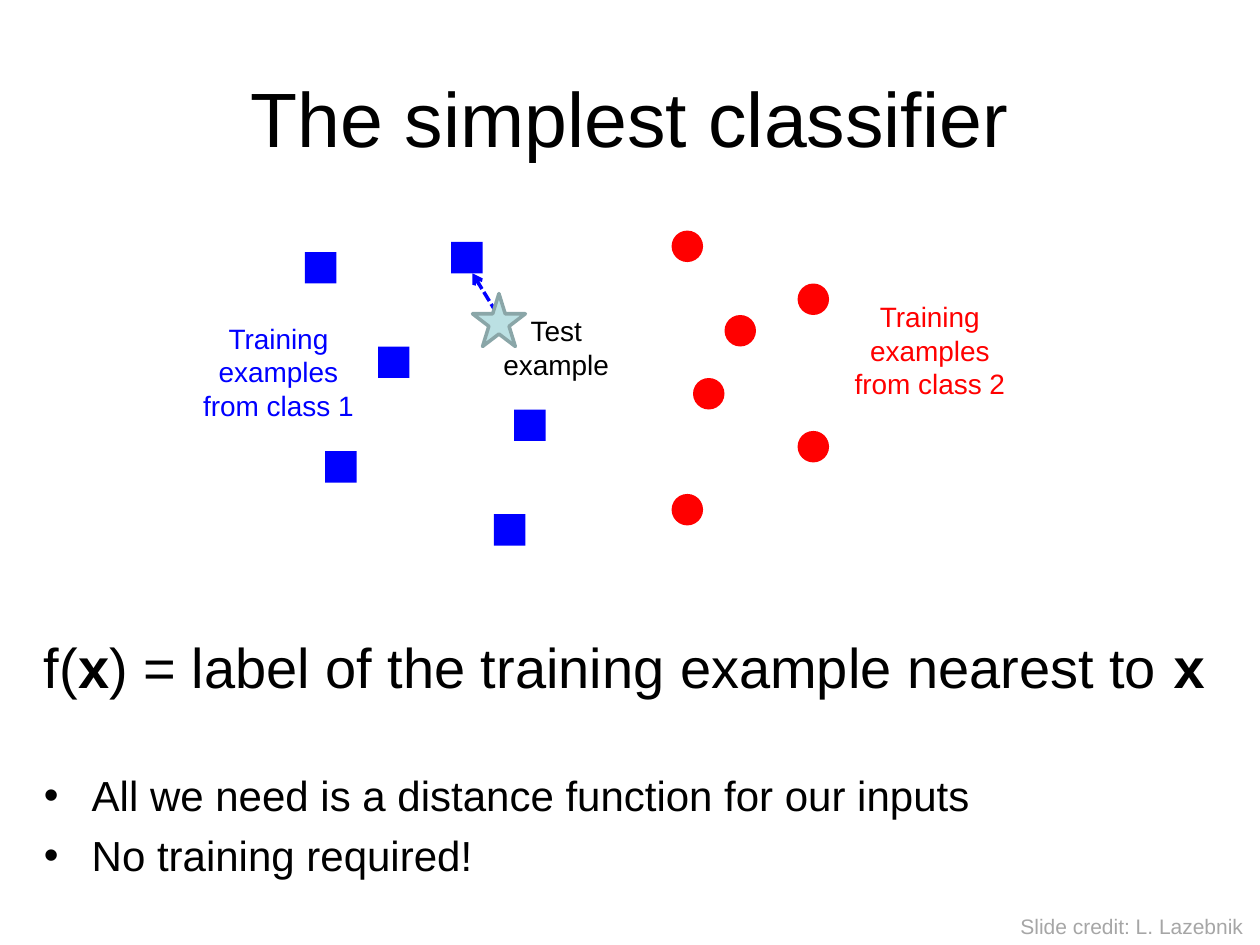
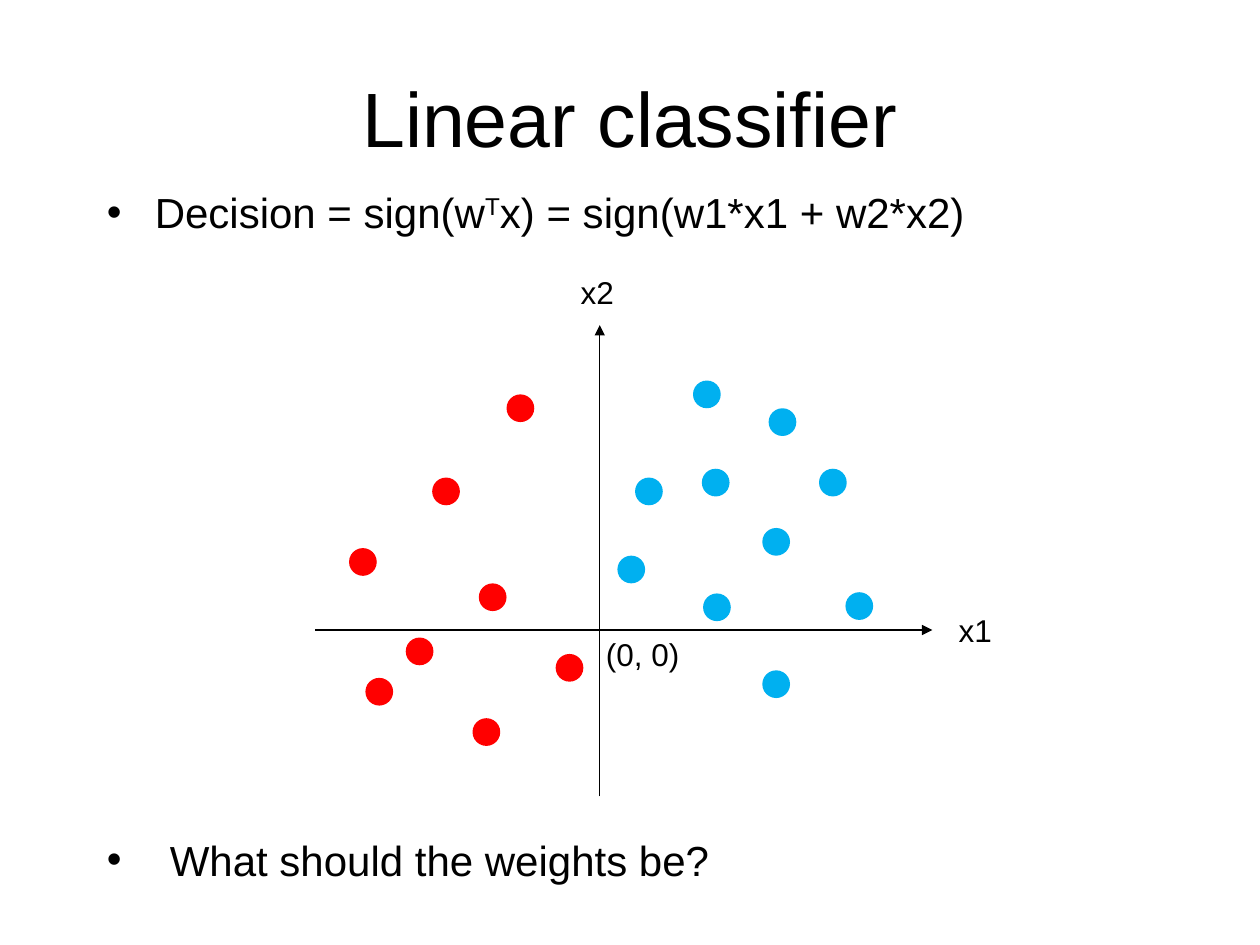
from dataclasses import dataclass

from lxml.etree import SubElement
from pptx import Presentation
from pptx.dml.color import RGBColor
from pptx.enum.dml import MSO_LINE_DASH_STYLE as Dash
from pptx.enum.shapes import MSO_CONNECTOR as Link, MSO_SHAPE as Form
from pptx.enum.text import MSO_ANCHOR as Anchor, PP_ALIGN as Align
from pptx.oxml.ns import qn
from pptx.slide import Slide
from pptx.util import Inches, Pt

FONT = "Arial"
BLACK = RGBColor(0x00, 0x00, 0x00)
BLUE = RGBColor(0x00, 0x00, 0xFF)
RED = RGBColor(0xFF, 0x00, 0x00)
SKY = RGBColor(0x00, 0xB0, 0xF0)
GRAY = RGBColor(0xA6, 0xA6, 0xA6)
PALE = RGBColor(0xBB, 0xE0, 0xE3)
TEAL = RGBColor(0x8A, 0xA6, 0xA8)

Point = tuple[float, float]
Box = tuple[float, float, float, float]


@dataclass
class Span:
    text: str
    bold: bool = False
    lift: bool = False


@dataclass
class Para:
    spans: list[Span]
    size: float
    bullet: bool = False
    hang: float = 0
    before: float = 0


@dataclass
class Label:
    text: str
    box: Box
    size: float = 18
    color: RGBColor = BLACK
    align: Align = Align.LEFT
    wrap: bool = False
    anchor: Anchor = Anchor.TOP


@dataclass
class Cluster:
    form: Form
    color: RGBColor
    size: float
    spots: list[Point]


@dataclass
class Arrow:
    start: Point
    end: Point
    color: RGBColor = BLACK
    width: float = 0.75
    head: str = "triangle"
    dash: Dash | None = None


SQUARES = Cluster(Form.RECTANGLE, BLUE, 0.25, [
    (2.42, 2), (3, 2.75), (3.58, 1.92), (2.58, 3.58), (4.08, 3.25), (3.92, 4.08)])
CIRCLES = Cluster(Form.OVAL, RED, 0.25, [
    (6.33, 2.25), (5.5, 3), (6.33, 3.42), (5.33, 1.83), (5.75, 2.5), (5.33, 3.92)])
NEAREST = Arrow((4, 2.58), (3.75, 2.17), BLUE, 2, "arrow", Dash.SQUARE_DOT)
CLASS_LABELS = [
    Label("Test example", (3.83, 2.44, 1.17, 0.64), 16, BLACK, Align.CENTER, True),
    Label("Training examples from class 1", (1.5, 2.5, 1.42, 0.91), 16, BLUE,
          Align.CENTER, True),
    Label("Training examples from class 2", (6.67, 2.33, 1.42, 0.91), 16, RED,
          Align.CENTER, True),
]
CREDIT = Label("Slide credit: L. Lazebnik", (8, 7.2, 1.98, 0.3), 12, GRAY)
RULE = [
    Para([Span("f("), Span("x", bold=True),
          Span(") = label of the training example nearest to "),
          Span("x", bold=True)], 32, hang=0.38),
    Para([Span("All we need is a distance function for our inputs")],
         24, True, 0.38, before=40),
    Para([Span("No training required!")], 24, True, 0.38, before=5.5),
]

LEFT_DOTS = Cluster(Form.OVAL, RED, 0.22, [
    (2.9, 5.38), (3.22, 5.06), (3.75, 5.7), (3.8, 4.63),
    (2.77, 4.35), (3.43, 3.79), (4.02, 3.13), (4.41, 5.19)])
RIGHT_DOTS = Cluster(Form.OVAL, SKY, 0.22, [
    (5.04, 3.79), (4.9, 4.41), (5.5, 3.02), (5.57, 3.72), (6.1, 3.24),
    (6.5, 3.72), (6.05, 4.19), (5.58, 4.71), (6.71, 4.7), (6.05, 5.32)])
AXES = [Arrow((2.5, 5), (7.4, 5)), Arrow((4.76, 6.32), (4.76, 2.58))]
AXIS_LABELS = [
    Label("x1", (7.51, 4.8, 0.47, 0.4)),
    Label("x2", (4.51, 2.12, 0.47, 0.4)),
    Label("(0, 0)", (4.71, 4.99, 0.79, 0.4)),
]
DECISION = Para([Span("Decision = sign(w"), Span("T", lift=True),
                 Span("x) = sign(w1*x1 + w2*x2)")], 24, True, 0.38)
QUESTION = Para([Span("What should the weights be?")], 24, True, 0.5)


def style(run, size: float, color: RGBColor = BLACK) -> None:
    run.font.name = FONT
    run.font.size = Pt(size)
    run.font.color.rgb = color


def add_label(slide: Slide, label: Label) -> None:
    frame = slide.shapes.add_textbox(*map(Inches, label.box)).text_frame
    frame.word_wrap = label.wrap
    frame.vertical_anchor = label.anchor
    frame.text = label.text
    para = frame.paragraphs[0]
    para.alignment = label.align
    style(para.runs[0], label.size, label.color)


def add_title(slide: Slide, text: str) -> None:
    add_label(slide, Label(text, (0.5, 0.3, 9, 1.25), 44, BLACK,
                           Align.CENTER, True, Anchor.MIDDLE))


def add_body(slide: Slide, box: Box, paras: list[Para], top: float = 0.1) -> None:
    """Add hanging paragraphs; top is the inset above the first line."""
    frame = slide.shapes.add_textbox(*map(Inches, box)).text_frame
    frame.word_wrap = True
    frame.margin_top = Inches(top)
    for index, item in enumerate(paras):
        para = frame.add_paragraph() if index else frame.paragraphs[0]
        props = para._p.get_or_add_pPr()
        props.set("marL", str(Inches(item.hang)))
        props.set("indent", str(-Inches(item.hang)))
        if item.bullet:
            SubElement(props, qn("a:buFont"), typeface=FONT)
            SubElement(props, qn("a:buChar"), char="•")
        if item.before:
            para.space_before = Pt(item.before)
        for span in item.spans:
            run = para.add_run()
            run.text = span.text
            style(run, item.size)
            run.font.bold = span.bold
            if span.lift:
                run._r.get_or_add_rPr().set("baseline", "30000")


def add_mark(slide: Slide, form: Form, spot: Point, size: float, fill: RGBColor):
    shape = slide.shapes.add_shape(form, *map(Inches, (*spot, size, size)))
    shape.shadow.inherit = False
    shape.fill.solid()
    shape.fill.fore_color.rgb = fill
    shape.line.fill.background()
    return shape


def add_cluster(slide: Slide, cluster: Cluster) -> None:
    for spot in cluster.spots:
        add_mark(slide, cluster.form, spot, cluster.size, cluster.color)


def add_arrow(slide: Slide, arrow: Arrow) -> None:
    ends = map(Inches, (*arrow.start, *arrow.end))
    link = slide.shapes.add_connector(Link.STRAIGHT, *ends)
    link.line.color.rgb = arrow.color
    link.line.width = Pt(arrow.width)
    if arrow.dash is not None:
        link.line.dash_style = arrow.dash
    SubElement(link.line._get_or_add_ln(), qn("a:tailEnd"), type=arrow.head)
    SubElement(link._element.spPr, qn("a:effectLst"))


def build_nearest(slide: Slide) -> None:
    add_title(slide, "The simplest classifier")
    add_body(slide, (0.25, 4.92, 9.5, 1.45), RULE)
    for cluster in (SQUARES, CIRCLES):
        add_cluster(slide, cluster)
    for label in CLASS_LABELS:
        add_label(slide, label)
    add_arrow(slide, NEAREST)
    star = add_mark(slide, Form.STAR_5_POINT, (3.75, 2.33), 0.42, PALE)
    star.line.color.rgb = TEAL
    star.line.width = Pt(2)
    add_label(slide, CREDIT)


def build_linear(slide: Slide) -> None:
    add_body(slide, (0.75, 6.52, 8.5, 0.8), [QUESTION])
    for axis in AXES:
        add_arrow(slide, axis)
    for cluster in (LEFT_DOTS, RIGHT_DOTS):
        add_cluster(slide, cluster)
    for label in AXIS_LABELS:
        add_label(slide, label)
    add_body(slide, (0.75, 1.43, 7.09, 0.5), [DECISION], top=0.05)
    add_title(slide, "Linear classifier")


def main() -> None:
    deck = Presentation()
    deck.slide_width, deck.slide_height = Inches(10), Inches(7.5)
    blank = deck.slide_layouts[6]
    for build in (build_nearest, build_linear):
        build(deck.slides.add_slide(blank))
    deck.save("out.pptx")


if __name__ == "__main__":
    main()
